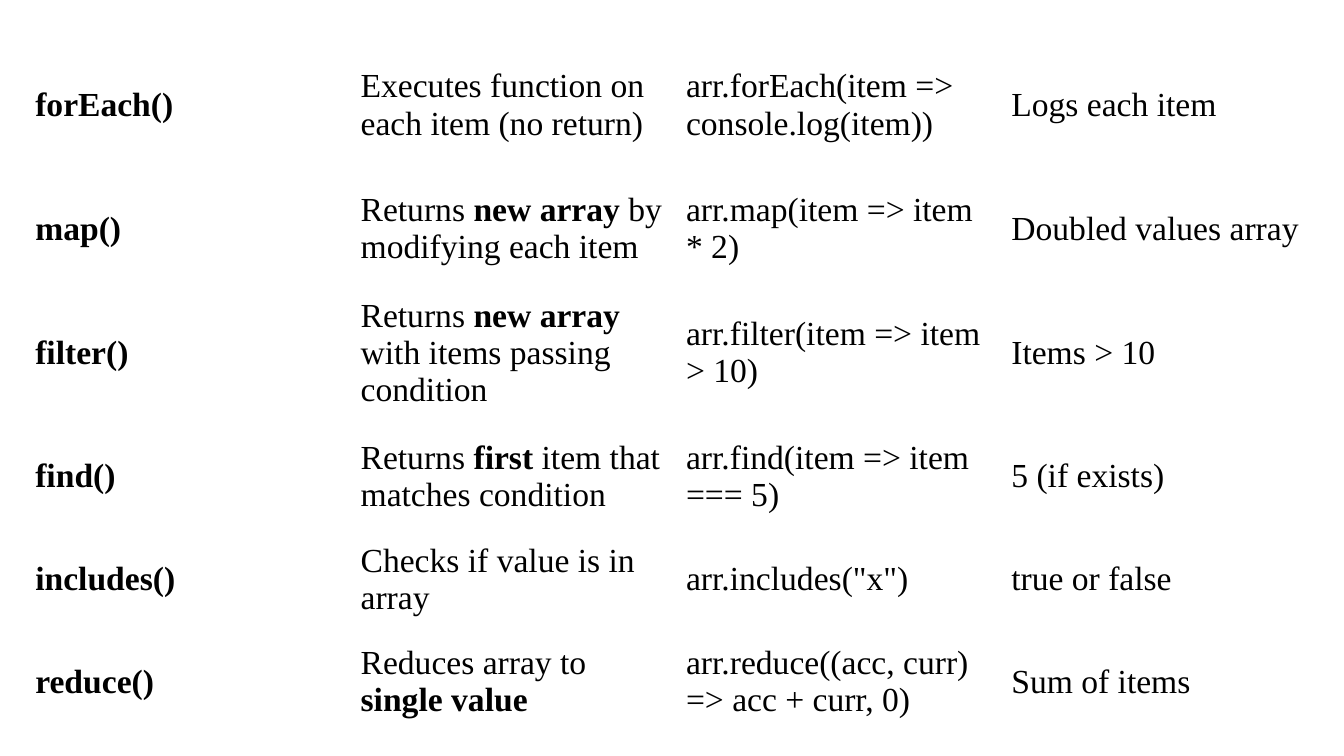
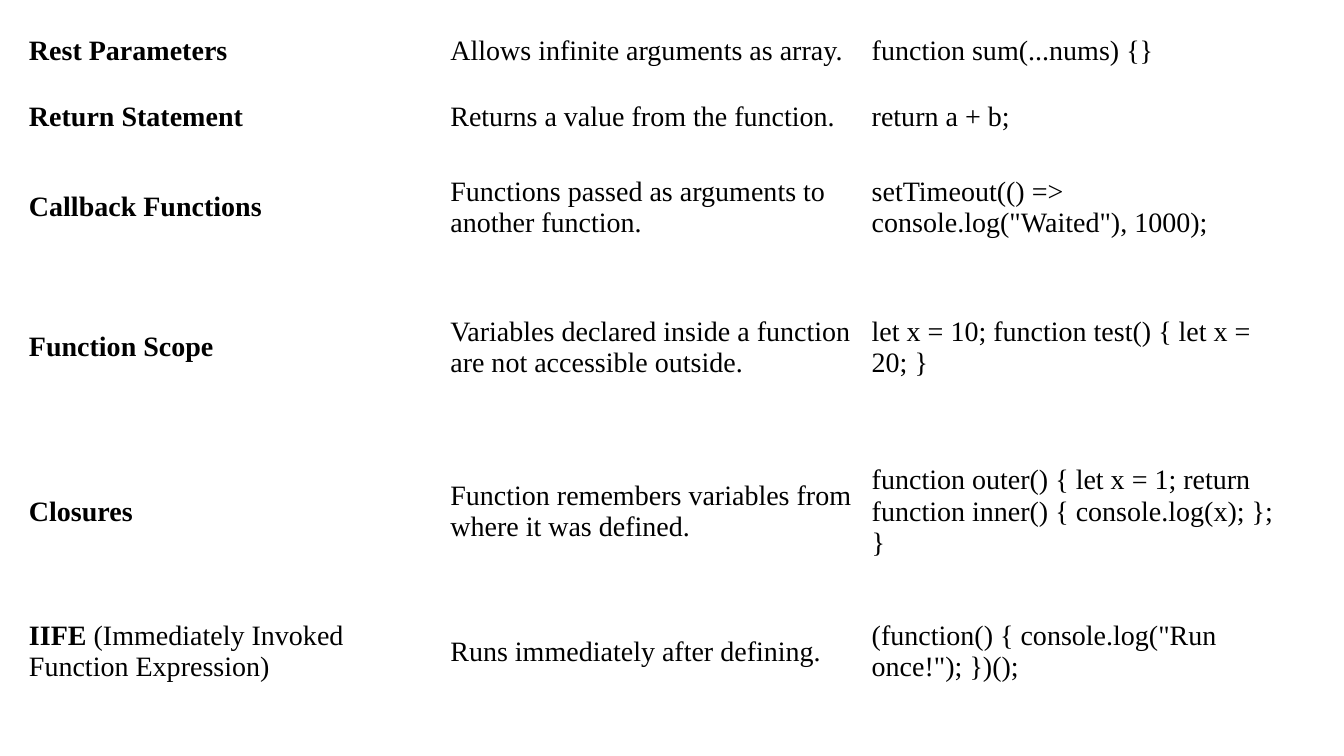
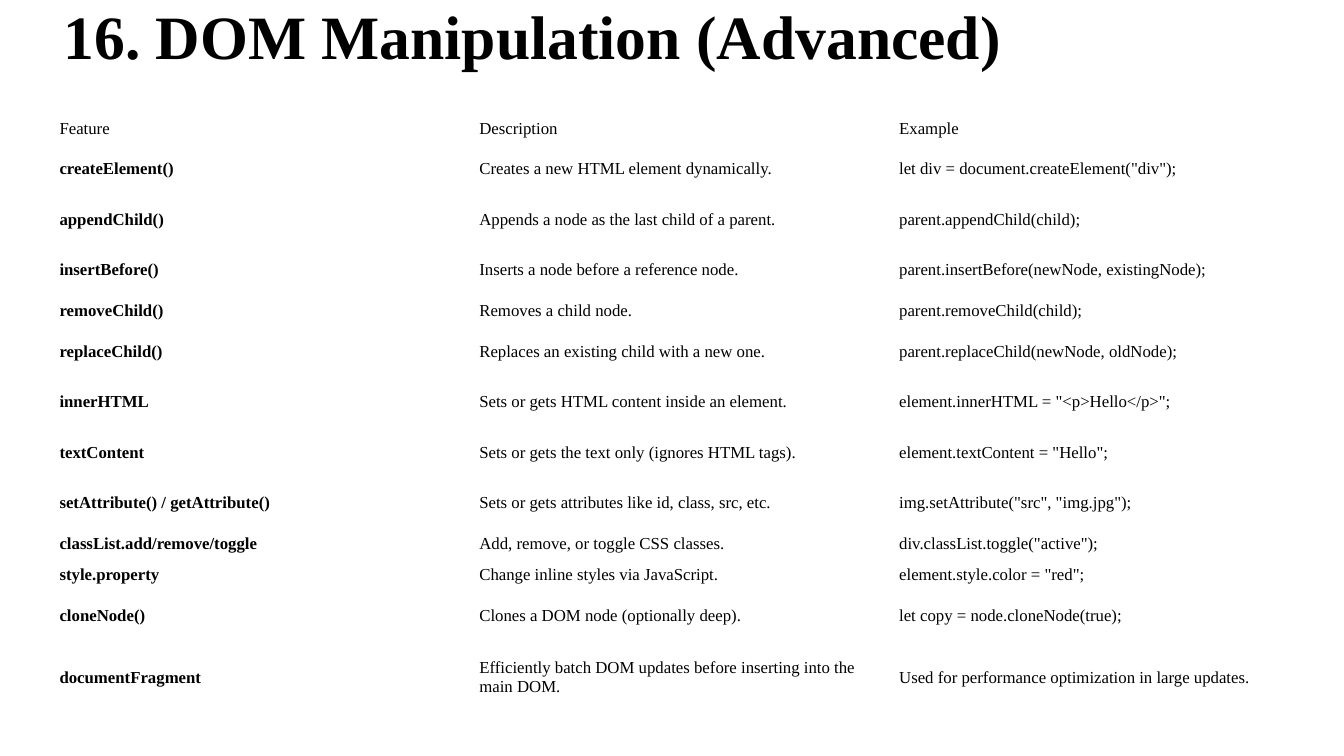
from pptx import Presentation
from pptx.dml.color import RGBColor
from pptx.enum.text import MSO_ANCHOR as Anchor
from pptx.util import Cm, Pt

COLORS = {"text": "000000", "background": "FFFFFF"}
FONT = "Times New Roman"

presentation = Presentation()
presentation.slide_width, presentation.slide_height = Cm(33.87), Cm(19.05)


def style_font(font, size, bold=False):
    font.name, font.size, font.bold = FONT, Pt(size), bold
    font.color.rgb = RGBColor.from_string(COLORS["text"])


def fill_cell(cell, text, size, inset):
    cell.fill.background()
    cell.vertical_anchor = Anchor.MIDDLE
    cell.margin_left = cell.margin_right = Cm(inset)
    cell.margin_top = cell.margin_bottom = Cm(inset / 2)
    paragraph = cell.text_frame.paragraphs[0]
    # Text between double asterisks is bold
    parts = text.split("**")
    all_bold = len(parts) == 3 and not parts[0] and not parts[2]
    style_font(paragraph.font, size, all_bold)
    for index, part in enumerate(parts):
        if part:
            run = paragraph.add_run()
            run.text = part
            if index % 2 and not all_bold:
                run.font.bold = True


# Each row: height in cm, then the cell texts
array_rows = [
    (3.12, "**forEach()**", "Executes function on each item (no return)",
     "arr.forEach(item => console.log(item))", "Logs each item"),
    (3.12, "**map()**", "Returns **new array** by modifying each item",
     "arr.map(item => item * 2)", "Doubled values array"),
    (3.12, "**filter()**", "Returns **new array** with items passing condition",
     "arr.filter(item => item > 10)", "Items > 10"),
    (3.12, "**find()**", "Returns **first** item that matches condition",
     "arr.find(item => item === 5)", "5 (if exists)"),
    (1.73, "**includes()**", "Checks if value is in array",
     'arr.includes("x")', "true or false"),
    (3.12, "**reduce()**", "Reduces array to **single value**",
     "arr.reduce((acc, curr) => acc + curr, 0)", "Sum of items"),
]

function_rows = [
    (1.65, "**Rest Parameters**", "Allows infinite arguments as array.",
     "function sum(...nums) {}"),
    (1.65, "**Return Statement**", "Returns a value from the function.",
     "return a + b;"),
    (2.92, "**Callback Functions**",
     "Functions passed as arguments to another function.",
     'setTimeout(() => console.log("Waited"), 1000);'),
    (4.14, "**Function Scope**",
     "Variables declared inside a function are not accessible outside.",
     "let x = 10; function test() { let x = 20; }"),
    (4.14, "**Closures**",
     "Function remembers variables from where it was defined.",
     "function outer() { let x = 1; return function inner() { console.log(x); }; }"),
    (2.92, "**IIFE** (Immediately Invoked Function Expression)",
     "Runs immediately after defining.",
     '(function() { console.log("Run once!"); })();'),
]

dom_rows = [
    (0.79, "Feature", "Description", "Example"),
    (1.27, "**createElement()**", "Creates a new HTML element dynamically.",
     'let div = document.createElement("div");'),
    (1.27, "**appendChild()**", "Appends a node as the last child of a parent.",
     "parent.appendChild(child);"),
    (1.27, "**insertBefore()**", "Inserts a node before a reference node.",
     "parent.insertBefore(newNode, existingNode);"),
    (0.79, "**removeChild()**", "Removes a child node.",
     "parent.removeChild(child);"),
    (1.27, "**replaceChild()**", "Replaces an existing child with a new one.",
     "parent.replaceChild(newNode, oldNode);"),
    (1.27, "**innerHTML**", "Sets or gets HTML content inside an element.",
     'element.innerHTML = "<p>Hello</p>";'),
    (1.27, "**textContent**", "Sets or gets the text only (ignores HTML tags).",
     'element.textContent = "Hello";'),
    (1.27, "**setAttribute() / getAttribute()**",
     "Sets or gets attributes like id, class, src, etc.",
     'img.setAttribute("src", "img.jpg");'),
    (0.79, "**classList.add/remove/toggle**", "Add, remove, or toggle CSS classes.",
     'div.classList.toggle("active");'),
    (0.79, "**style.property**", "Change inline styles via JavaScript.",
     'element.style.color = "red";'),
    (1.27, "**cloneNode()**", "Clones a DOM node (optionally deep).",
     "let copy = node.cloneNode(true);"),
    (1.83, "**documentFragment**",
     "Efficiently batch DOM updates before inserting into the main DOM.",
     "Used for performance optimization in large updates."),
]

# Title, rows, left, top, column width, font size, side inset
pages = [
    (None, array_rows, 0.71, 1.09, 8.2, 24, 0.18),
    (None, function_rows, 0.53, 0.46, 10.62, 20, 0.2),
    ("16. DOM Manipulation (Advanced)", dom_rows, 1.35, 2.84, 10.58, 12, 0.15),
]

for title, rows, left, top, column_width, size, inset in pages:
    slide = presentation.slides.add_slide(presentation.slide_layouts[6])
    slide.background.fill.solid()
    slide.background.fill.fore_color.rgb = RGBColor.from_string(COLORS["background"])

    # Title
    if title:
        title_box = slide.shapes.add_textbox(Cm(left), Cm(-0.84), Cm(29.21), Cm(3.68))
        title_box.text_frame.word_wrap = True
        title_box.text_frame.vertical_anchor = Anchor.MIDDLE
        paragraph = title_box.text_frame.paragraphs[0]
        paragraph.text = title
        paragraph.line_spacing = 0.9
        style_font(paragraph.font, 44, True)

    # Table
    column_count = len(rows[0]) - 1
    table = slide.shapes.add_table(
        len(rows), column_count, Cm(left), Cm(top),
        Cm(column_width * column_count), Cm(sum(row[0] for row in rows))).table
    table.first_row = table.horz_banding = False
    for column in table.columns:
        column.width = Cm(column_width)
    for row_index, (height, *texts) in enumerate(rows):
        table.rows[row_index].height = Cm(height)
        for column_index, text in enumerate(texts):
            fill_cell(table.cell(row_index, column_index), text, size, inset)

presentation.save("out.pptx")
